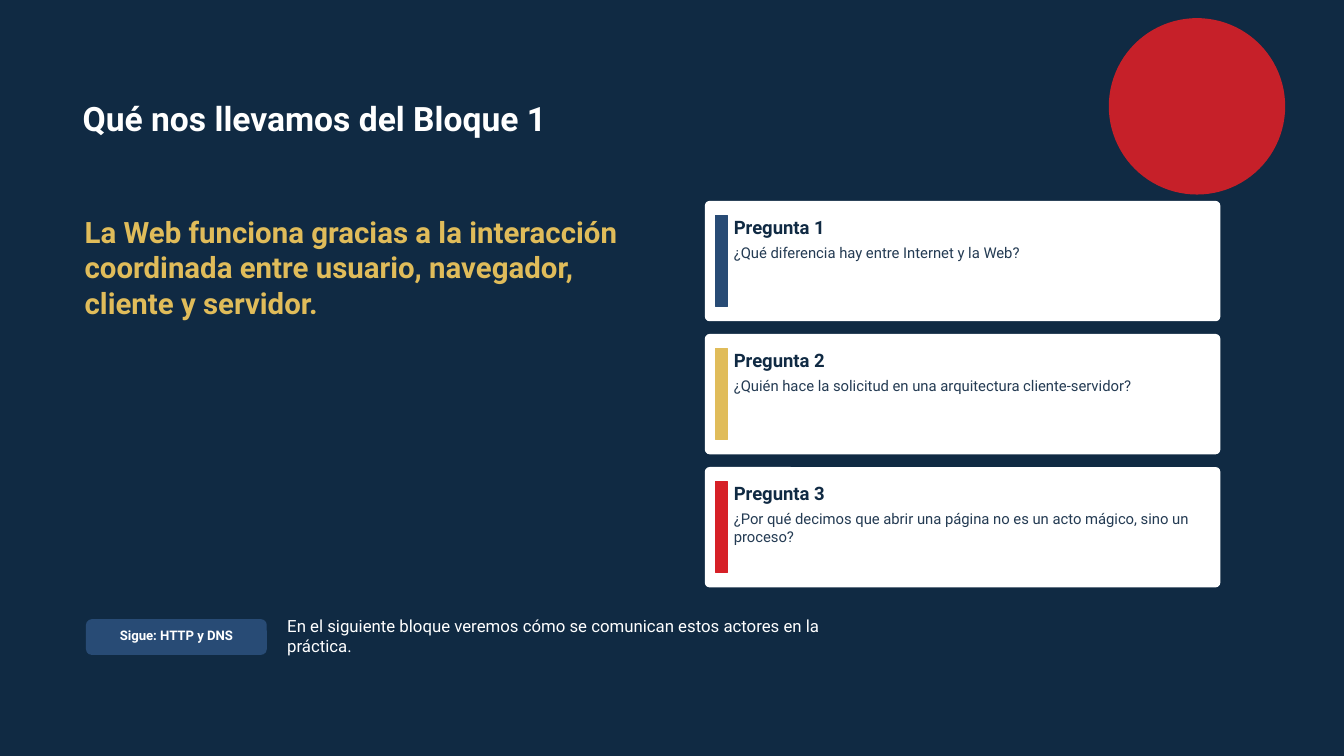
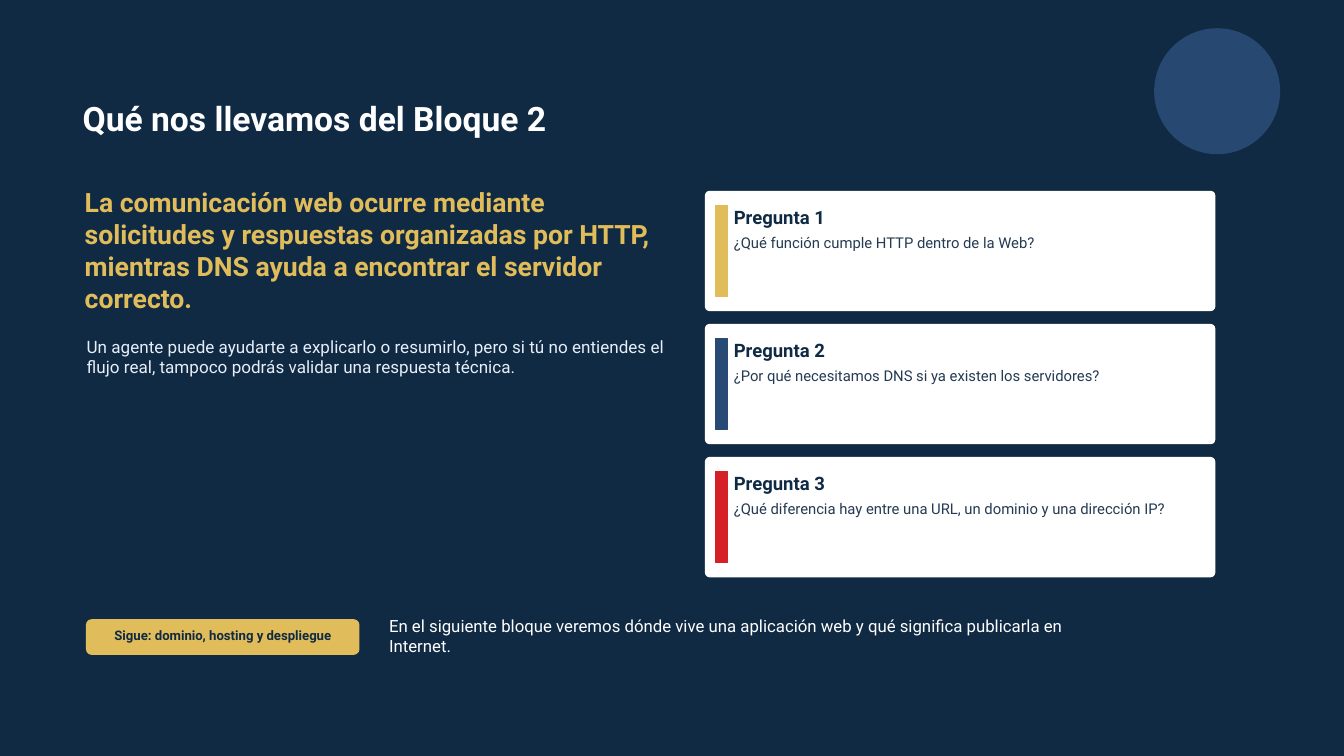
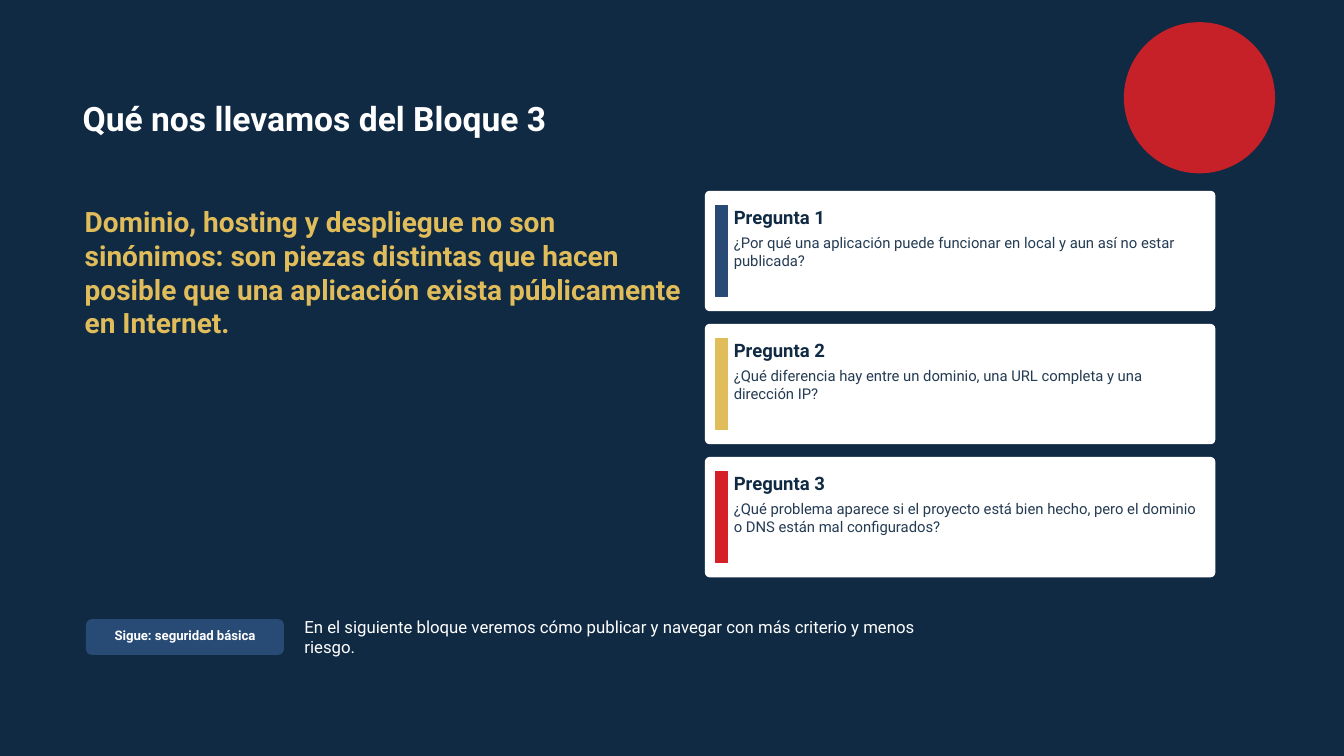
from lxml import etree
from pptx import Presentation
from pptx.dml.color import RGBColor
from pptx.enum.shapes import MSO_SHAPE
from pptx.enum.text import MSO_ANCHOR, PP_ALIGN
from pptx.oxml.ns import qn
from pptx.util import Pt

# Shared style
NAVY = RGBColor(0x10, 0x2A, 0x43)
BLUE = RGBColor(0x28, 0x4B, 0x75)
GOLD = RGBColor(0xE0, 0xBC, 0x5A)
RED = RGBColor(0xD6, 0x20, 0x27)
WHITE = RGBColor(0xFF, 0xFF, 0xFF)
SLATE = RGBColor(0x24, 0x3B, 0x53)
MIST = RGBColor(0xE7, 0xEE, 0xF8)
FONT = "Roboto"

# Content: boxes are (left, top, width, height) in points
SLIDES = [
    {
        "circle": (RED, 792, 12.96, 126),
        "title": ("Qué nos llevamos del Bloque 1", (59.04, 64.8, 424.8, 39.6)),
        "message": ("La Web funciona gracias a la interacción coordinada entre "
                    "usuario, navegador, cliente y servidor.",
                    (60.48, 133.2, 388.8, 115.2), 21),
        "cards_top": 144,
        "card_width": 367.2,
        "questions": [
            (BLUE, "¿Qué diferencia hay entre Internet y la Web?"),
            (GOLD, "¿Quién hace la solicitud en una arquitectura cliente-servidor?"),
            (RED, "¿Por qué decimos que abrir una página no es un acto mágico, "
                  "sino un proceso?"),
        ],
        "next": ("Sigue: HTTP y DNS", BLUE, WHITE, 128.16),
        "preview": ("En el siguiente bloque veremos cómo se comunican estos "
                    "actores en la práctica.", (205.2, 446.4, 424.8, 15.84)),
    },
    {
        "circle": (BLUE, 824.4, 20.16, 90),
        "title": ("Qué nos llevamos del Bloque 2", (59.04, 66.24, 446.4, 36)),
        "message": ("La comunicación web ocurre mediante solicitudes y respuestas "
                    "organizadas por HTTP, mientras DNS ayuda a encontrar el "
                    "servidor correcto.", (60.48, 131.04, 421.2, 95.04), 19),
        "aside": ("Un agente puede ayudarte a explicarlo o resumirlo, pero si tú "
                  "no entiendes el flujo real, tampoco podrás validar una "
                  "respuesta técnica.", (61.92, 228.96, 416.16, 51.84)),
        "cards_top": 136.8,
        "card_width": 363.6,
        "questions": [
            (GOLD, "¿Qué función cumple HTTP dentro de la Web?"),
            (BLUE, "¿Por qué necesitamos DNS si ya existen los servidores?"),
            (RED, "¿Qué diferencia hay entre una URL, un dominio y una "
                  "dirección IP?"),
        ],
        "next": ("Sigue: dominio, hosting y despliegue", GOLD, NAVY, 194.4),
        "preview": ("En el siguiente bloque veremos dónde vive una aplicación web "
                    "y qué significa publicarla en Internet.",
                    (277.92, 447.12, 482.4, 14.4)),
    },
    {
        "circle": (RED, 802.8, 15.84, 108),
        "title": ("Qué nos llevamos del Bloque 3", (59.04, 66.24, 446.4, 36)),
        "message": ("Dominio, hosting y despliegue no son sinónimos: son piezas "
                    "distintas que hacen posible que una aplicación exista "
                    "públicamente en Internet.",
                    (60.48, 129.6, 428.4, 129.6), 20),
        "cards_top": 136.8,
        "card_width": 363.6,
        "questions": [
            (BLUE, "¿Por qué una aplicación puede funcionar en local y aun así no "
                   "estar publicada?"),
            (GOLD, "¿Qué diferencia hay entre un dominio, una URL completa y una "
                   "dirección IP?"),
            (RED, "¿Qué problema aparece si el proyecto está bien hecho, pero el "
                  "dominio o DNS están mal configurados?"),
        ],
        "next": ("Sigue: seguridad básica", BLUE, WHITE, 140.4),
        "preview": ("En el siguiente bloque veremos cómo publicar y navegar con más "
                    "criterio y menos riesgo.", (217.44, 447.84, 446.4, 14.4)),
    },
]

# Layout
CARD_LEFT, CARD_HEIGHT, CARD_STEP = 504, 84.96, 95.04
CARD_RADIUS = 2.88
NEXT_LEFT, NEXT_TOP, NEXT_HEIGHT = 61.92, 442.8, 24.48
NEXT_RADIUS = 3.6


# Drawing helpers
def add_block(slide, kind, box, color, outlined=True, radius=None):
    block = slide.shapes.add_shape(kind, *map(Pt, box))
    block.shadow.inherit = False
    block.fill.solid()
    block.fill.fore_color.rgb = color
    if outlined:
        block.line.color.rgb = color
        block.line.width = Pt(1)
    else:
        block.line.fill.background()
    if radius:
        block.adjustments[0] = radius / min(box[2:])
    return block


def add_text(slide, text, box, size, color, bold=False,
             anchor=MSO_ANCHOR.MIDDLE, align=PP_ALIGN.LEFT):
    frame = slide.shapes.add_textbox(*map(Pt, box)).text_frame
    frame.word_wrap = True
    frame.margin_left = frame.margin_right = 0
    frame.margin_top = frame.margin_bottom = 0
    frame.vertical_anchor = anchor
    paragraph = frame.paragraphs[0]
    paragraph.alignment = align
    run = paragraph.add_run()
    run.text = text
    run.font.name = FONT
    run.font.size = Pt(size)
    run.font.bold = bold
    run.font.color.rgb = color


def add_circle(slide, color, left, top, diameter):
    circle = add_block(slide, MSO_SHAPE.OVAL, (left, top, diameter, diameter),
                       color, outlined=False)
    fill_color = circle.fill._xPr.find(qn("a:solidFill"))[0]
    etree.SubElement(fill_color, qn("a:alpha"), val="92000")


def add_card(slide, number, top, width, accent, question):
    add_block(slide, MSO_SHAPE.ROUNDED_RECTANGLE,
              (CARD_LEFT, top, width, CARD_HEIGHT), WHITE, radius=CARD_RADIUS)
    add_block(slide, MSO_SHAPE.RECTANGLE,
              (CARD_LEFT + 7.2, top + 10.08, 8.64, CARD_HEIGHT - 20.16), accent)
    text_left, text_width = CARD_LEFT + 20.16, width - 28.8
    add_text(slide, f"Pregunta {number}",
             (text_left, top + 10.08, text_width, 15.84), 13.2, NAVY, bold=True)
    add_text(slide, question, (text_left, top + 30.24, text_width, 46.08),
             10.6, SLATE, anchor=MSO_ANCHOR.TOP)


def add_next(slide, label, color, label_color, width):
    add_block(slide, MSO_SHAPE.ROUNDED_RECTANGLE,
              (NEXT_LEFT, NEXT_TOP, width, NEXT_HEIGHT), color, radius=NEXT_RADIUS)
    add_text(slide, label,
             (NEXT_LEFT + 8.64, NEXT_TOP + 2.88, width - 17.28, 15.84),
             9.4, label_color, bold=True, align=PP_ALIGN.CENTER)


# Build the slides
deck = Presentation()
deck.slide_width, deck.slide_height = Pt(960), Pt(540)

for content in SLIDES:
    slide = deck.slides.add_slide(deck.slide_layouts[6])
    slide.background.fill.solid()
    slide.background.fill.fore_color.rgb = NAVY

    add_circle(slide, *content["circle"])
    add_text(slide, *content["title"], 24, WHITE, bold=True)
    add_text(slide, *content["message"], GOLD, bold=True)
    if "aside" in content:
        add_text(slide, *content["aside"], 12.2, MIST)

    for index, (accent, question) in enumerate(content["questions"]):
        add_card(slide, index + 1, content["cards_top"] + index * CARD_STEP,
                 content["card_width"], accent, question)

    add_next(slide, *content["next"])
    add_text(slide, *content["preview"], 12, WHITE)

deck.save("out.pptx")
